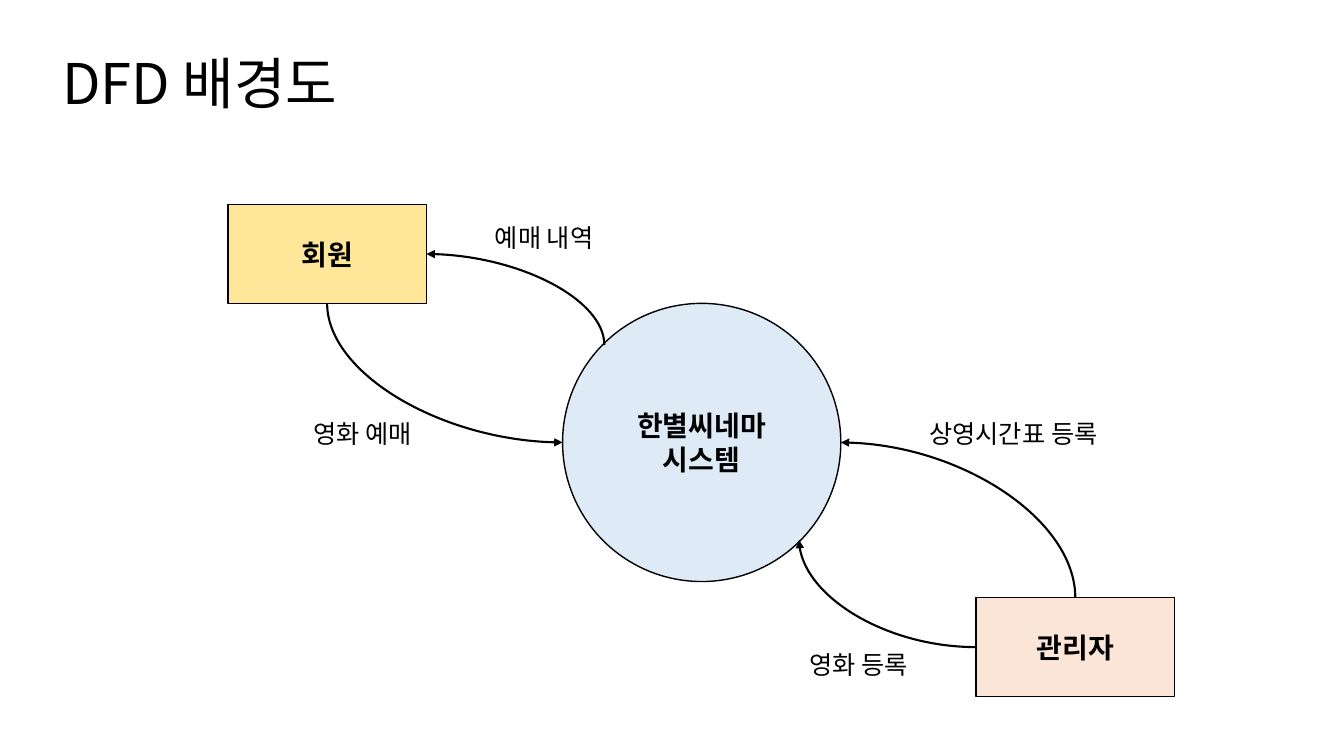
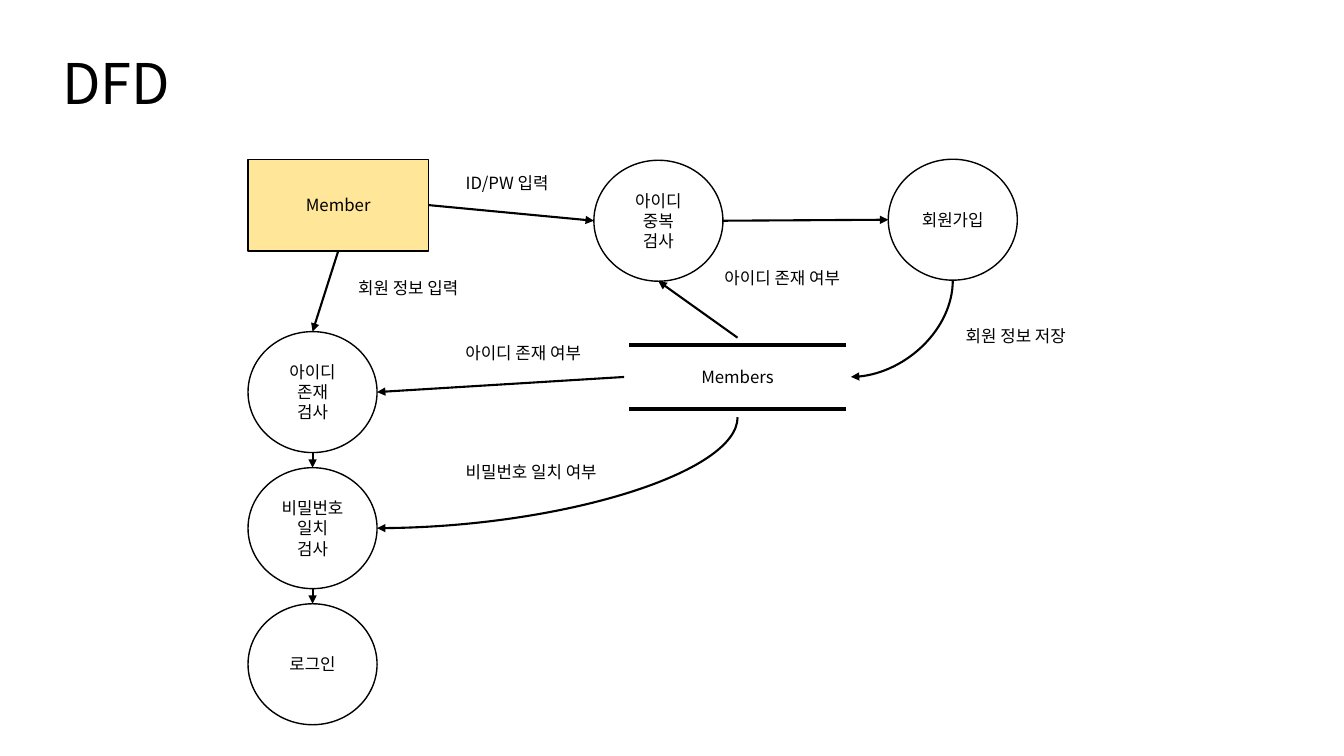
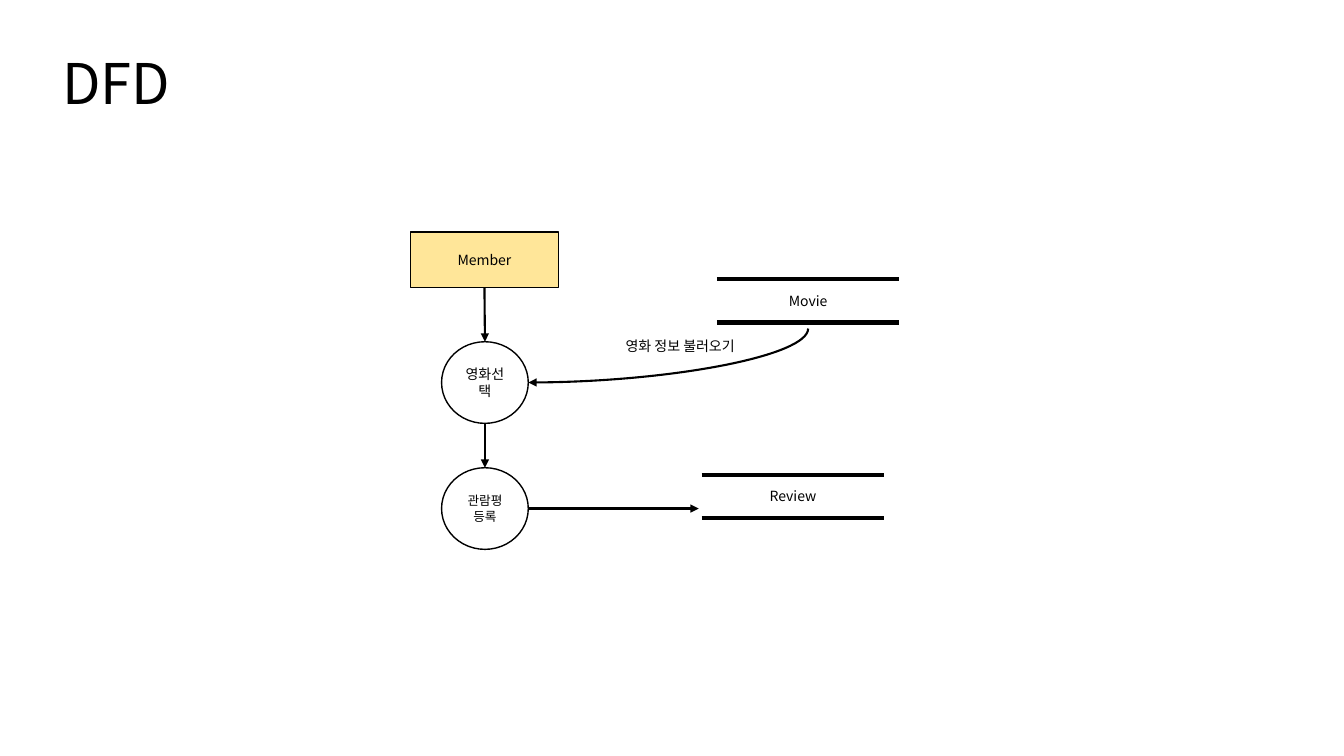
from lxml import etree
from pptx import Presentation
from pptx.dml.color import RGBColor
from pptx.enum.shapes import MSO_CONNECTOR as Link, MSO_SHAPE as Form
from pptx.enum.text import MSO_ANCHOR as Anchor, PP_ALIGN as Align
from pptx.oxml.ns import qn
from pptx.util import Inches, Pt

BLACK = RGBColor(0x00, 0x00, 0x00)
GOLD = RGBColor(0xFF, 0xE6, 0x99)
BLUE = RGBColor(0xDE, 0xEB, 0xF7)
PEACH = RGBColor(0xFB, 0xE5, 0xD6)
FONT = "Noto Sans CJK KR"

# Places on a shape, as shares of its width and height
TOP, LOW, LEFT, RIGHT = (0.5, 0), (0.5, 1), (0, 0.5), (1, 0.5)
NW, SE = (0.15, 0.15), (0.85, 0.85)


def spot(shape, place, gap=0.0):
    """Point on a shape's edge, moved outwards by gap inches."""
    fx, fy = place
    push = Inches(gap)
    return (int(shape.left + fx * shape.width + (2 * fx - 1) * push),
            int(shape.top + fy * shape.height + (2 * fy - 1) * push))


class Deck:
    def __init__(self):
        self.prs = Presentation()
        self.prs.slide_width, self.prs.slide_height = Inches(13.33), Inches(7.5)
        self.size = 12

    def page(self, title, size):
        """Start a slide with its title and its usual text size."""
        self.slide = self.prs.slides.add_slide(self.prs.slide_layouts[6])
        self.size = size
        head = self.label(0.52, 0.13, 11.5, 1.45, title, Align.LEFT, 40, Anchor.MIDDLE)
        head.text_frame.paragraphs[0].line_spacing = 0.9

    def put(self, shape, text, align, size, bold=False, anchor=Anchor.MIDDLE):
        frame = shape.text_frame
        frame.text = text
        frame.word_wrap = True
        frame.vertical_anchor = anchor
        for para in frame.paragraphs:
            para.alignment = align
            font = para.font
            font.name, font.size, font.bold = FONT, Pt(size or self.size), bold
            font.color.rgb = BLACK

    def label(self, x, y, w, h, text, align=Align.CENTER, size=None, anchor=Anchor.TOP):
        box = self.slide.shapes.add_textbox(Inches(x), Inches(y), Inches(w), Inches(h))
        self.put(box, text, align, size, anchor=anchor)
        return box

    def node(self, form, x, y, w, h, text, fill=None, size=None, bold=False):
        shape = self.slide.shapes.add_shape(
            form, Inches(x), Inches(y), Inches(w), Inches(h))
        shape.shadow.inherit = False
        if fill is None:
            shape.fill.background()
        else:
            shape.fill.solid()
            shape.fill.fore_color.rgb = fill
        shape.line.color.rgb = BLACK
        shape.line.width = Pt(1)
        self.put(shape, text, Align.CENTER, size, bold)
        return shape

    def line(self, start, end, width=1.5, kind=Link.STRAIGHT):
        link = self.slide.shapes.add_connector(kind, *start, *end)
        link.line.color.rgb = BLACK
        link.line.width = Pt(width)
        etree.SubElement(link._element.spPr, qn("a:effectLst"))
        return link

    def tip(self, link, end="tailEnd"):
        edge = link._element.spPr.find(qn("a:ln"))
        etree.SubElement(edge, qn("a:" + end), type="triangle")

    def arrow(self, start, end):
        self.tip(self.line(start, end))

    def curve(self, flat, steep, tip="headEnd"):
        """Quarter bend, level at flat and upright at steep."""
        link = self.line(flat, steep, kind=Link.CURVE)
        link._element.spPr.find(qn("a:prstGeom")).set("prst", "curvedConnector2")
        self.tip(link, tip)

    def store(self, x, y, w, h, text):
        """Data store: a name between two thick rules."""
        box = self.label(x, y, w, h, text, anchor=Anchor.MIDDLE)
        for fy in (0, 1):
            self.line(spot(box, (0, fy)), spot(box, (1, fy)), 3)
        return box


def context(deck):
    deck.page("DFD 배경도", 18)
    user = deck.node(Form.RECTANGLE, 2.26, 2.03, 1.97, 0.98, "회원", GOLD, 20, True)
    system = deck.node(Form.OVAL, 5.58, 3.01, 2.76, 2.76, "한별씨네마 시스템", BLUE, 20, True)
    admin = deck.node(Form.RECTANGLE, 9.68, 5.93, 1.97, 0.98, "관리자", PEACH, 20, True)

    # Flows
    deck.curve(spot(system, LEFT), spot(user, LOW))
    deck.curve(spot(user, RIGHT), spot(system, NW))
    deck.curve(spot(system, RIGHT), spot(admin, TOP))
    deck.curve(spot(admin, LEFT), spot(system, SE), "tailEnd")
    for x, y, text in ((3.01, 4.1, "영화 예매"), (4.81, 2.16, "예매 내역"),
                       (7.93, 6.39, "영화 등록"), (9.12, 4.1, "상영시간표 등록")):
        deck.label(x, y, 2.06, 0.4, text, Align.LEFT)


def login(deck):
    deck.page("DFD", 12)
    user = deck.node(Form.RECTANGLE, 2.46, 1.58, 1.79, 0.91, "Member", GOLD)
    found, match, enter, double, join = [
        deck.node(Form.OVAL, x, y, 1.28, 1.2, text) for x, y, text in (
            (2.46, 3.29, "아이디 존재\n검사"), (2.46, 4.64, "비밀번호 일치\n검사"),
            (2.46, 5.99, "로그인"), (5.89, 1.59, "아이디 중복\n검사"),
            (8.81, 1.58, "회원가입"))]
    data = deck.store(6.24, 3.42, 2.15, 0.64, "Members")

    # Flows
    for start, end in ((spot(user, LOW), spot(found, TOP)),
                       (spot(found, LOW), spot(match, TOP)),
                       (spot(match, LOW), spot(enter, TOP)),
                       (spot(user, RIGHT), spot(double, LEFT)),
                       (spot(double, RIGHT), spot(join, LEFT)),
                       (spot(data, TOP, 0.07), spot(double, LOW)),
                       (spot(data, LEFT, 0.05), spot(found, RIGHT))):
        deck.arrow(start, end)
    deck.curve(spot(match, RIGHT), spot(data, LOW, 0.08))
    deck.curve(spot(data, RIGHT, 0.05), spot(join, LOW))
    for x, y, w, text in ((4.33, 1.66, 1.4, "ID/PW 입력"),
                          (3.35, 2.71, 1.4, "회원 정보 입력"),
                          (4.34, 3.35, 1.7, "아이디 존재 여부"),
                          (6.91, 2.61, 1.7, "아이디 존재 여부")):
        deck.label(x, y, w, 0.29, text)
    deck.label(4.52, 4.53, 1.81, 0.29, "비밀번호 일치 여부", Align.LEFT)
    deck.label(9.48, 3.18, 1.4, 0.29, "회원 정보 저장", Align.LEFT)


def review(deck):
    deck.page("DFD", 10)
    user = deck.node(Form.RECTANGLE, 4.07, 2.3, 1.47, 0.55, "Member", GOLD)
    pick = deck.node(Form.OVAL, 4.38, 3.39, 0.86, 0.81, "영화선택")
    post = deck.node(Form.OVAL, 4.38, 4.64, 0.86, 0.81, "관람평 등록", size=9)
    film = deck.store(7.11, 2.77, 1.81, 0.43, "Movie")
    deck.store(6.96, 4.71, 1.81, 0.43, "Review")

    # Flows
    deck.arrow(spot(user, LOW), spot(pick, TOP))
    deck.arrow(spot(pick, LOW), spot(post, TOP))
    deck.arrow(spot(post, RIGHT), spot(post, RIGHT, 1.69))
    deck.curve(spot(pick, RIGHT), spot(film, LOW, 0.06))
    deck.label(5.69, 3.3, 2.11, 0.27, "영화 정보 불러오기")


def main():
    deck = Deck()
    for draw in (context, login, review):
        draw(deck)
    deck.prs.save("out.pptx")


if __name__ == "__main__":
    main()
